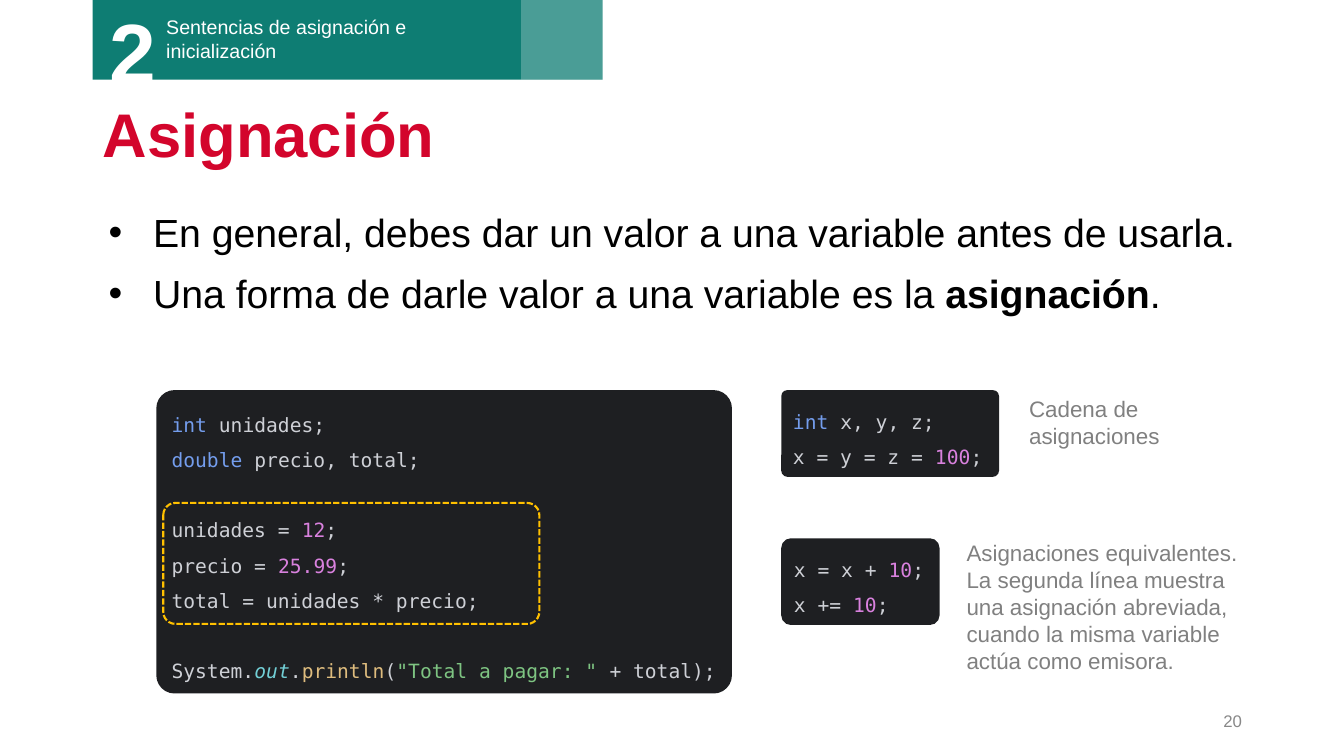
from dataclasses import dataclass, field

from pptx import Presentation
from pptx import util as u
from pptx.dml.color import RGBColor
from pptx.enum import dml, shapes, text
from pptx.oxml.ns import qn
from lxml import etree

WIDTH, HEIGHT = u.Inches(13.33), u.Inches(7.5)
SANS, MONO = "Arial", "DejaVu Sans Mono"
WHITE, BLACK, TEAL, RED = "FFFFFF", "000000", "0E7D73", "D3052C"
GREY, DARK, AMBER = "808080", "1E1F22", "FFC000"
SYNTAX = {"plain": "CED0D6", "type": "749DED", "number": "D981DE",
          "field": "72CFD6", "method": "DEBC7E", "string": "7EC482"}
LEFT, CODE_LEFT, SIDE_LEFT, CODE_TOP = 6.9, 11.63, 58.13, 51.6
CODE_LINE = 25.2  # height of one code line in points


@dataclass
class Area:
    """Position and size as percentages of the slide."""
    left: float
    top: float
    width: float
    height: float

    def emu(self) -> list[int]:
        sides = (WIDTH, HEIGHT, WIDTH, HEIGHT)
        shares = (self.left, self.top, self.width, self.height)
        return [round(side * share / 100) for side, share in zip(sides, shares)]


@dataclass
class Run:
    text: str
    color: str = BLACK
    bold: bool = False
    italic: bool = False


@dataclass
class Block:
    """Text box: one list of runs per paragraph."""
    area: Area
    lines: list[list[Run]]
    size: float
    frame: dict = field(default_factory=dict)
    para: dict = field(default_factory=dict)
    bullet: bool = False
    gap: float = 0


@dataclass
class Code:
    """Code panel: (style, text) tokens per line; an empty line is a gap."""
    area: Area
    corner: float
    lines: list[list[tuple[str, str]]]


def rgb(color: str) -> RGBColor:
    return RGBColor.from_string(color)


def apply(target, values: dict) -> None:
    for name, value in values.items():
        setattr(target, name, value)


def add_bullet(p) -> None:
    pPr = p._p.get_or_add_pPr()
    pPr.set("marL", str(u.Inches(0.5)))
    pPr.set("indent", str(u.Inches(-0.44)))
    color = etree.SubElement(pPr, qn("a:buClr"))
    etree.SubElement(color, qn("a:srgbClr"), val=BLACK)
    etree.SubElement(pPr, qn("a:buFont"), typeface=SANS)
    etree.SubElement(pPr, qn("a:buChar"), char="•")


def add_runs(p, runs: list[Run], size: float, font: str) -> None:
    for run in runs:
        r = p.add_run()
        r.text = run.text
        apply(r.font, {"name": font, "size": u.Pt(size),
                       "bold": run.bold, "italic": run.italic})
        r.font.color.rgb = rgb(run.color)


def add_panel(s, area: Area, fill: str | None = None, corner: float | None = None):
    kind = shapes.MSO_SHAPE.RECTANGLE if corner is None else shapes.MSO_SHAPE.ROUNDED_RECTANGLE
    sp = s.shapes.add_shape(kind, *area.emu())
    sp.shadow.inherit = False
    sp.line.fill.background()
    if corner is not None:
        sp.adjustments[0] = corner
    if fill:
        sp.fill.solid()
        sp.fill.fore_color.rgb = rgb(fill)
    else:
        sp.fill.background()
    return sp


def add_block(s, block: Block) -> None:
    tf = s.shapes.add_textbox(*block.area.emu()).text_frame
    apply(tf, {"word_wrap": True, **block.frame})
    for i, runs in enumerate(block.lines):
        p = tf.paragraphs[0] if i == 0 else tf.add_paragraph()
        if i and block.gap:
            p.space_before = u.Pt(block.gap)
        apply(p, block.para)
        if block.bullet:
            add_bullet(p)
        add_runs(p, runs, block.size, SANS)


def add_code(s, code: Code) -> None:
    tf = add_panel(s, code.area, DARK, code.corner).text_frame
    apply(tf, {"word_wrap": False, "vertical_anchor": text.MSO_ANCHOR.MIDDLE,
               "auto_size": text.MSO_AUTO_SIZE.SHAPE_TO_FIT_TEXT})
    p, skipped = tf.paragraphs[0], 0
    for i, line in enumerate(code.lines):
        if not line:
            skipped += 1
            continue
        if i:
            p = tf.add_paragraph()
        apply(p, {"alignment": text.PP_ALIGN.LEFT, "line_spacing": 1.5,
                  "space_before": u.Pt(CODE_LINE * skipped)})
        runs = [Run(words, SYNTAX[style], italic=style == "field") for style, words in line]
        add_runs(p, runs, 14, MONO)
        skipped = 0


GROW = {"auto_size": text.MSO_AUTO_SIZE.SHAPE_TO_FIT_TEXT}
MIDDLE = {"vertical_anchor": text.MSO_ANCHOR.MIDDLE}

BLOCKS = [
    # Section header
    Block(Area(CODE_LEFT, 1.33, 20.63, 7.6),
          [[Run("Sentencias de asignación e inicialización", WHITE)]], 14, GROW),
    Block(Area(7.43, -0.67, 8.4, 14.8), [[Run("2", WHITE, bold=True)]], 60, GROW),
    # Title, body and slide number
    Block(Area(LEFT, 12.4, 86.25, 11.47), [[Run("Asignación", RED, bold=True)]], 44,
          MIDDLE, {"line_spacing": 0.9}),
    Block(Area(LEFT, 26.93, 86.25, 63.73), [
        [Run("En general, debes dar un valor a una variable antes de usarla.")],
        [Run("Una forma de darle valor a una variable es la "),
         Run("asignación", bold=True), Run(".")],
    ], 28, bullet=True, gap=10),
    Block(Area(70.65, 92.67, 22.5, 5.33), [[Run("20", "888888")]], 12,
          MIDDLE, {"alignment": text.PP_ALIGN.RIGHT}),
    # Captions
    Block(Area(75.83, CODE_TOP, 16.2, 8.53), [[Run("Cadena de asignaciones", GREY)]], 16, GROW),
    Block(Area(71.18, 70.67, 22.5, 19.33), [
        [Run("Asignaciones equivalentes.", GREY)],
        [Run("La segunda línea muestra una asignación abreviada, "
             "cuando la misma variable actúa como emisora.", GREY)],
    ], 16, GROW),
]

CODES = [
    Code(Area(CODE_LEFT, CODE_TOP, 42.83, 40.13), 0.06, [
        [("type", "int "), ("plain", "unidades;")],
        [("type", "double "), ("plain", "precio, total;")],
        [],
        [("plain", "unidades = "), ("number", "12"), ("plain", ";")],
        [("plain", "precio = "), ("number", "25.99"), ("plain", ";")],
        [("plain", "total = unidades * precio;")],
        [],
        [("plain", "System."), ("field", "out"), ("plain", "."), ("method", "println"),
         ("plain", "("), ("string", '"Total a pagar: " '), ("plain", "+ total);")],
    ]),
    Code(Area(SIDE_LEFT, CODE_TOP, 16.2, 11.47), 0.07, [
        [("type", "int "), ("plain", "x, y, z;")],
        [("plain", "x = y = z = "), ("number", "100"), ("plain", ";")],
    ]),
    Code(Area(SIDE_LEFT, 71.2, 11.78, 11.47), 0.11, [
        [("plain", "x = x + "), ("number", "10"), ("plain", ";")],
        [("plain", "x += "), ("number", "10"), ("plain", ";")],
    ]),
]


def main() -> None:
    prs = Presentation()
    apply(prs, {"slide_width": WIDTH, "slide_height": HEIGHT})
    s = prs.slides.add_slide(prs.slide_layouts[6])

    # Header band with a translucent end
    add_panel(s, Area(LEFT, -0.13, 37.95, 10.67), TEAL)
    tint = add_panel(s, Area(38.78, -0.13, 6.08, 10.67), WHITE)
    color = tint.fill._xPr.find(qn("a:solidFill"))[0]
    etree.SubElement(color, qn("a:alpha"), val="25000")

    for block in BLOCKS:
        add_block(s, block)
    for code in CODES:
        add_code(s, code)

    # Dashed frame around the assignments
    frame = add_panel(s, Area(12.15, 66.53, 27.98, 16), corner=0.1)
    frame.line.color.rgb = rgb(AMBER)
    apply(frame.line, {"width": u.Pt(1.5), "dash_style": dml.MSO_LINE.SQUARE_DOT})

    prs.save("out.pptx")


if __name__ == "__main__":
    main()
